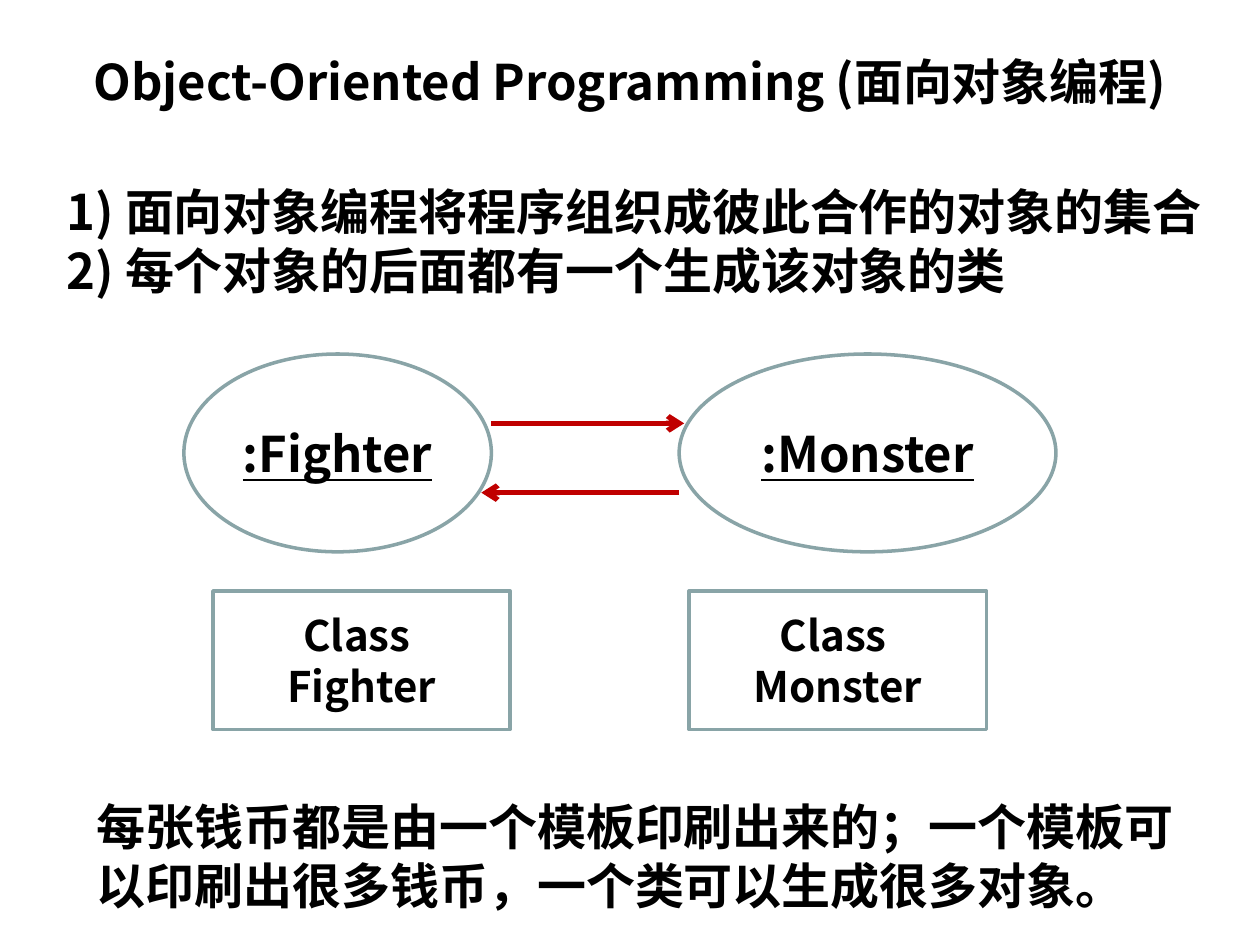
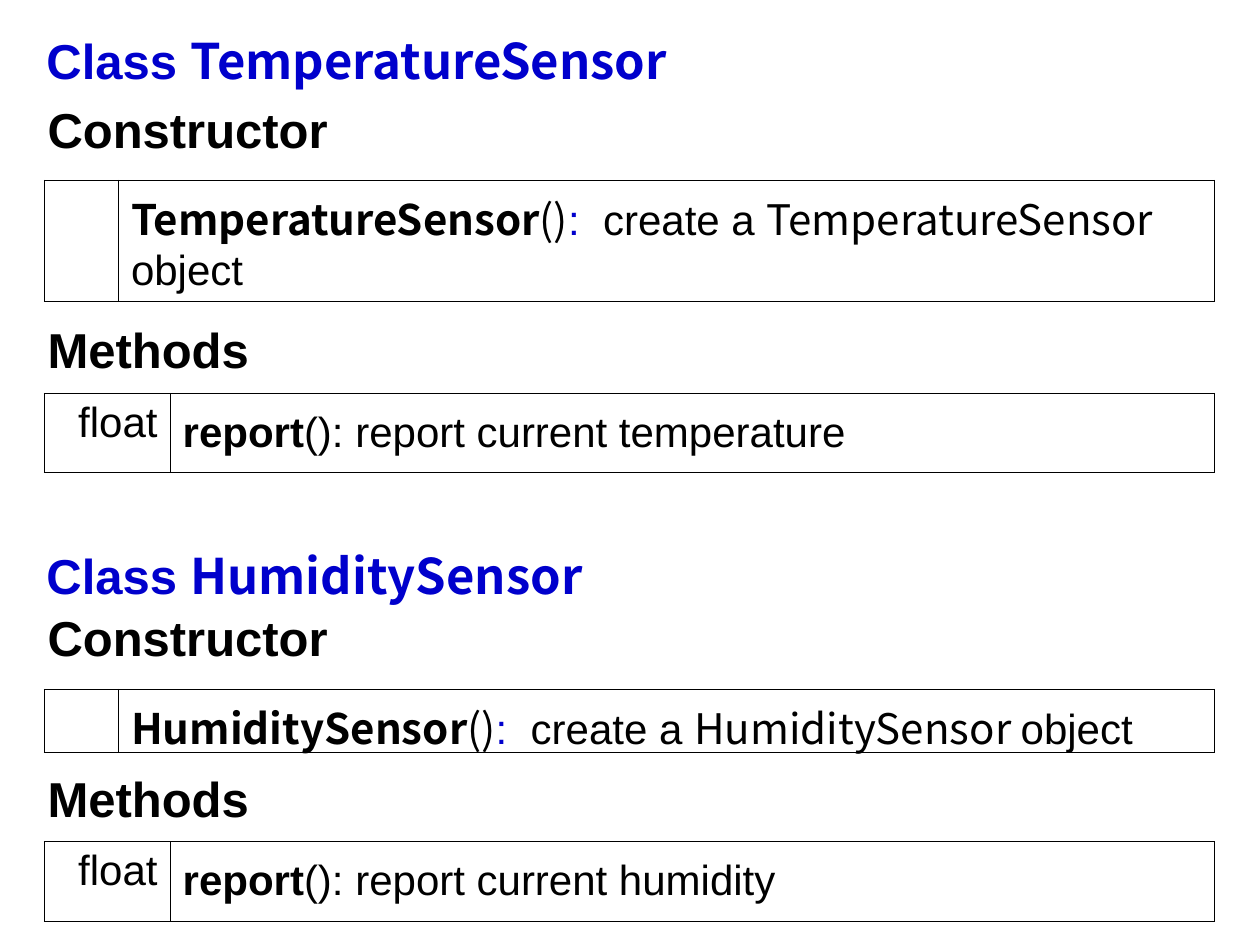
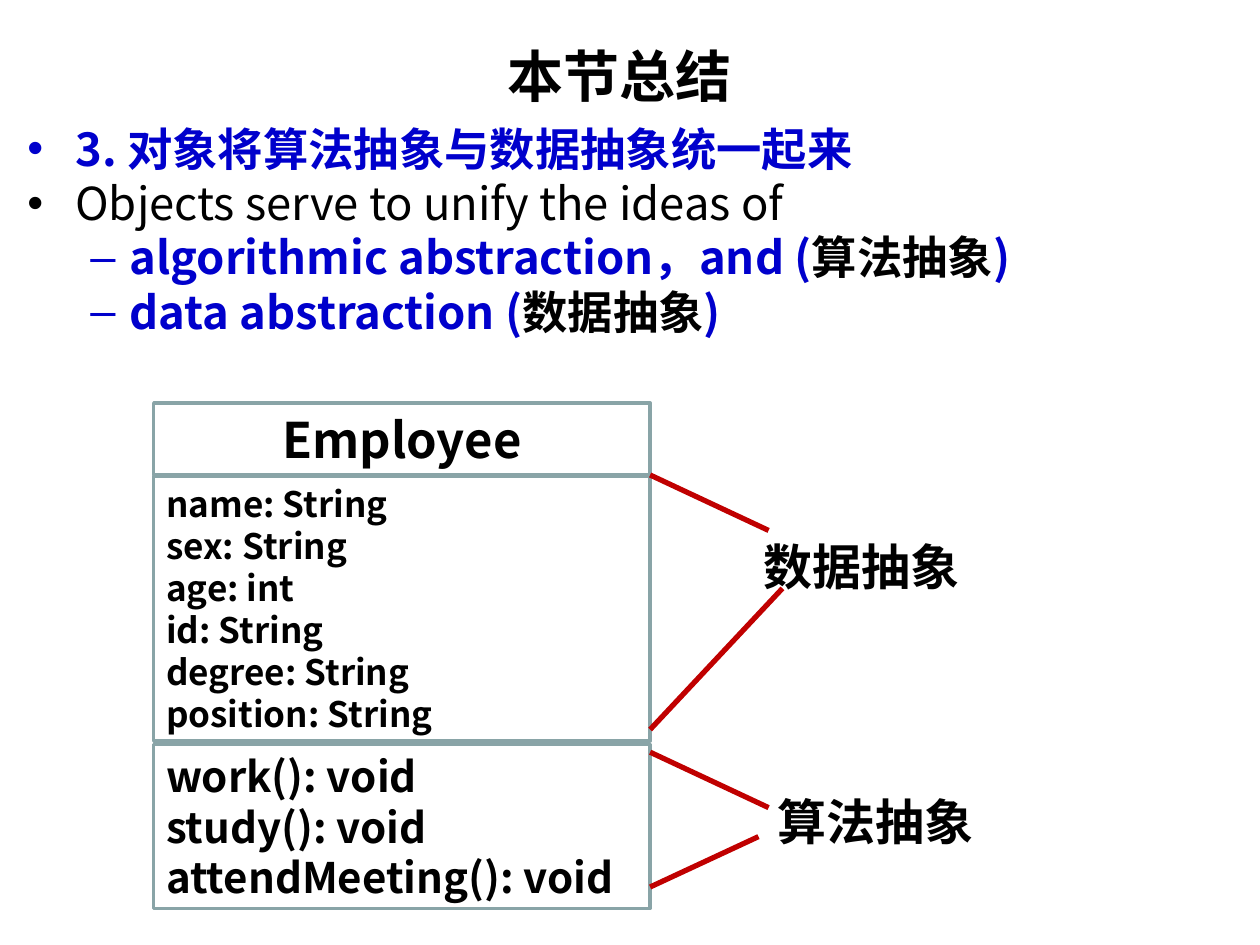
from lxml.etree import SubElement
from pptx import Presentation
from pptx.dml.color import RGBColor
from pptx.enum.shapes import MSO_CONNECTOR, MSO_SHAPE
from pptx.enum.text import MSO_ANCHOR, PP_ALIGN
from pptx.oxml import parse_xml
from pptx.oxml.ns import nsdecls, qn
from pptx.util import Inches, Pt

# Shared look
BLACK = RGBColor(0, 0, 0)
WHITE = RGBColor(0xFF, 0xFF, 0xFF)
BLUE = RGBColor(0, 0, 0xCC)
OUTLINE = RGBColor(0x89, 0xA4, 0xA7)
RED = RGBColor(0xC0, 0, 0)
NOTO, ARIAL = "Noto Sans CJK SC", "Arial"
HEADING = {"name": NOTO, "size": 28, "bold": True, "color": BLACK}
LABEL = {**HEADING, "name": ARIAL}
CELL = {**LABEL, "size": 24, "bold": False}
INSETS = {"margin_left": 0.1, "margin_right": 0.1,
          "margin_top": 0.05, "margin_bottom": 0.05}

# Slide 1: objects and their classes
OOP_TITLE = "Object-Oriented Programming (面向对象编程)"
OOP_POINTS = ["1) 面向对象编程将程序组织成彼此合作的对象的集合",
              "2) 每个对象的后面都有一个生成该对象的类"]
COIN_ANALOGY = "每张钱币都是由一个模板印刷出来的；一个模板可以印刷出很多钱币，一个类可以生成很多对象。"
# class name, ellipse left and width, class box left
CLASSES = [("Fighter", 1.46, 2.44, 1.69), ("Monster", 5.39, 2.99, 5.47)]
MESSAGES = [(3.9, 3.36, 5.43, 3.36), (5.39, 3.91, 3.82, 3.91)]

# Slide 2: interface of each sensor
# name, quantity, object on own line, heading top, offsets of the parts, row height
SENSORS = [
    ("TemperatureSensor", "temperature", True, 0.19, (0.55, 1.24, 2.3, 2.93), 0.96),
    ("HumiditySensor", "humidity", False, 4.28, (0.49, 1.19, 1.77, 2.4), 0.5),
]
TABLE_LEFT, TABLE_WIDTH = 0.35, 9.29

# Slide 3: summary
SUMMARY_TITLE = "本节总结"
IN_BLUE = {"color": BLUE}
PLAIN = {"bold": False}
# level, bullet colour, runs
SUMMARY = [
    (0, BLUE, [("3. 对象将算法抽象与数据抽象统一起来", IN_BLUE)]),
    (0, BLACK, [("Objects serve to unify the ideas of", PLAIN)]),
    (1, BLUE, [("algorithmic abstraction，and (", IN_BLUE), ("算法抽象", {}), (")", IN_BLUE)]),
    (1, BLUE, [("data abstraction (", IN_BLUE), ("数据抽象", {}), (")", IN_BLUE)]),
]
BULLETS = [("•", 0.38, -0.38), ("–", 0.81, -0.31)]
# top, height, text size, alignment, lines
EMPLOYEE = [
    (3.2, 0.57, 28, PP_ALIGN.CENTER, ["Employee"]),
    (3.78, 2.1, 20, PP_ALIGN.LEFT, ["name: String", "sex: String", "age: int",
                                    "id: String", "degree: String", "position: String"]),
    (5.91, 1.3, 24, PP_ALIGN.LEFT, ["work(): void", "study(): void",
                                    "attendMeeting(): void"]),
]
EMPLOYEE_LEFT, EMPLOYEE_WIDTH = 1.22, 3.94
# label, its left and top, then start x, start y and end y of each line
ABSTRACTIONS = [
    ("数据抽象", 5.96, 4.21, [(6.1, 4.21, 3.77), (6.21, 4.67, 5.79)]),
    ("算法抽象", 6.07, 6.23, [(6.1, 6.41, 5.97), (6.02, 6.64, 7.04)]),
]


def write_runs(paragraph, runs, style, align=PP_ALIGN.LEFT):
    paragraph.alignment = align
    for text, changes in runs:
        run = paragraph.add_run()
        run.text = text
        values = {**style, **changes}
        run.font.color.rgb = values.pop("color")
        values["size"] = Pt(values["size"])
        for key, value in values.items():
            setattr(run.font, key, value)
        SubElement(run.font._element, qn("a:ea")).set("typeface", values["name"])


def write_paragraphs(frame, paragraphs, style, align=PP_ALIGN.LEFT):
    """Each paragraph is a string or a list of (text, style changes)."""
    for index, runs in enumerate(paragraphs):
        paragraph = frame.paragraphs[0] if index == 0 else frame.add_paragraph()
        if isinstance(runs, str):
            runs = [(runs, {})]
        write_runs(paragraph, runs, style, align)


def set_frame(frame, anchor=MSO_ANCHOR.TOP, wrap=True):
    frame.word_wrap = wrap
    frame.vertical_anchor = anchor
    for side, inset in INSETS.items():
        setattr(frame, side, Inches(inset))


def add_text(slide, box, paragraphs, style=HEADING, align=PP_ALIGN.LEFT,
             anchor=MSO_ANCHOR.TOP, wrap=True):
    frame = slide.shapes.add_textbox(*map(Inches, box)).text_frame
    set_frame(frame, anchor, wrap)
    write_paragraphs(frame, paragraphs, style, align)
    return frame


def add_outlined(slide, preset, box, paragraphs, style=HEADING,
                 align=PP_ALIGN.CENTER, filled=False):
    shape = slide.shapes.add_shape(preset, *map(Inches, box))
    shape.shadow.inherit = False
    if filled:
        shape.fill.solid()
        shape.fill.fore_color.rgb = WHITE
    else:
        shape.fill.background()
    shape.line.color.rgb = OUTLINE
    shape.line.width = Pt(2)
    set_frame(shape.text_frame, MSO_ANCHOR.MIDDLE)
    write_paragraphs(shape.text_frame, paragraphs, style, align)


def add_red_line(slide, ends, arrow=False):
    connector = slide.shapes.add_connector(MSO_CONNECTOR.STRAIGHT, *map(Inches, ends))
    connector.line.color.rgb = RED
    connector.line.width = Pt(3)
    if arrow:
        SubElement(connector.line._get_or_add_ln(), qn("a:tailEnd")).set("type", "arrow")
    SubElement(connector._element.spPr, qn("a:effectLst"))


def add_interface_row(slide, top, height, first_width, result, description):
    """One-row table: result type and description of a callable."""
    table = slide.shapes.add_table(1, 2, *map(
        Inches, (TABLE_LEFT, top, TABLE_WIDTH, height))).table
    table.first_row = table.horz_banding = False
    contents = [
        (first_width, result, PP_ALIGN.RIGHT, MSO_ANCHOR.TOP),
        (TABLE_WIDTH - first_width, description, PP_ALIGN.LEFT, MSO_ANCHOR.MIDDLE),
    ]
    for column, (width, paragraphs, align, anchor) in enumerate(contents):
        table.columns[column].width = Inches(width)
        cell = table.cell(0, column)
        cell.vertical_anchor = anchor
        cell.fill.solid()
        cell.fill.fore_color.rgb = WHITE
        write_paragraphs(cell.text_frame, paragraphs, CELL, align)
        properties = cell._tc.get_or_add_tcPr()
        for index, side in enumerate("LRTB"):
            properties.insert(index, parse_xml(
                f'<a:ln{side} {nsdecls("a")} w="{Pt(0.34)}"><a:solidFill>'
                f'<a:srgbClr val="{BLACK}"/></a:solidFill></a:ln{side}>'))


def set_bullet(paragraph, level, color):
    sign, indent, hanging = BULLETS[level]
    paragraph.level = level
    properties = paragraph._p.get_or_add_pPr()
    properties.set("marL", str(Inches(indent)))
    properties.set("indent", str(Inches(hanging)))
    tint = SubElement(properties, qn("a:buClr"))
    SubElement(tint, qn("a:srgbClr")).set("val", str(color))
    SubElement(properties, qn("a:buFont")).set("typeface", ARIAL)
    SubElement(properties, qn("a:buChar")).set("char", sign)


def build_objects(slide):
    for name, left, width, class_left in CLASSES:
        add_outlined(slide, MSO_SHAPE.OVAL, (left, 2.81, width, 1.57),
                     [":" + name], {**HEADING, "underline": True})
        add_outlined(slide, MSO_SHAPE.RECTANGLE, (class_left, 4.69, 2.36, 1.1),
                     ["Class ", name], {**HEADING, "size": 24})
    for ends in MESSAGES:
        add_red_line(slide, ends, arrow=True)
    add_text(slide, (0.43, 1.39, 9.29, 1.04), OOP_POINTS)
    add_text(slide, (0.5, 0.3, 9, 0.69), [OOP_TITLE],
             align=PP_ALIGN.CENTER, anchor=MSO_ANCHOR.MIDDLE)
    add_text(slide, (0.67, 6.27, 8.74, 1.04), [COIN_ANALOGY])


def build_sensors(slide):
    noto = {"name": NOTO}
    for name, quantity, split, top, offsets, height in SENSORS:
        constructor, creation, methods, report = (top + offset for offset in offsets)
        add_text(slide, (0.27, top, 5.51, 0.57),
                 [[("Class ", {"name": ARIAL}), (name, {})]], {**HEADING, "color": BLUE})
        for label, label_top in (("Constructor", constructor), ("Methods", methods)):
            add_text(slide, (0.28, label_top, 2.5, 0.57), [label], LABEL)
        signature = [(name, {**noto, "bold": True}), ("()", noto),
                     (":", IN_BLUE), ("  create a ", {})]
        if split:
            description = [signature + [(name, noto)], "object"]
        else:
            description = [signature + [(name + " ", noto), ("object", {})]]
        add_interface_row(slide, creation, height, 0.59, [], description)
        add_interface_row(slide, report, 0.63, 1, ["float"], [
            [("report", {"bold": True}), (f"(): report current {quantity}", {})]])


def build_summary(slide):
    points = add_text(slide, (0.12, 0.91, 9, 2.2), [runs for _, _, runs in SUMMARY],
                      {**HEADING, "size": 25.9})
    for paragraph, (level, color, _) in zip(points.paragraphs, SUMMARY):
        set_bullet(paragraph, level, color)
    for top, height, size, align, lines in EMPLOYEE:
        add_outlined(slide, MSO_SHAPE.RECTANGLE,
                     (EMPLOYEE_LEFT, top, EMPLOYEE_WIDTH, height),
                     lines, {**HEADING, "size": size}, align, filled=True)
    for label, left, top, lines in ABSTRACTIONS:
        add_text(slide, (left, top, 1.75, 0.57), [label], wrap=False)
        for start_x, start_y, end_y in lines:
            add_red_line(slide, (start_x, start_y, EMPLOYEE_LEFT + EMPLOYEE_WIDTH, end_y))
    add_text(slide, (2.32, 0.28, 5.2, 0.64), [SUMMARY_TITLE],
             {**HEADING, "size": 32}, PP_ALIGN.CENTER)


def main():
    deck = Presentation()
    deck.slide_width, deck.slide_height = Inches(10), Inches(7.5)
    for build in (build_objects, build_sensors, build_summary):
        build(deck.slides.add_slide(deck.slide_layouts[6]))
    deck.save("out.pptx")


if __name__ == "__main__":
    main()
